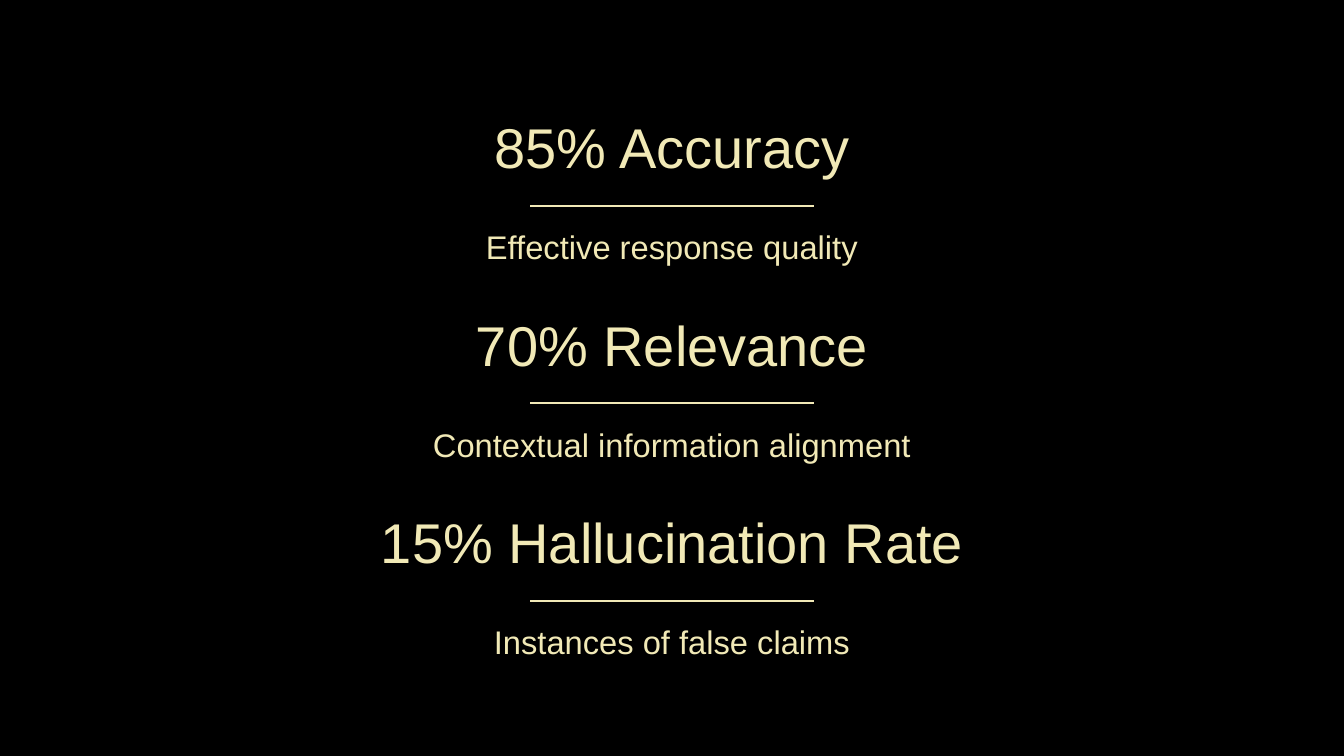
"""Build a slide of three evaluation metrics, each with a rule and a caption."""
from lxml import etree
from pptx import Presentation
from pptx.dml.color import RGBColor
from pptx.enum.shapes import MSO_CONNECTOR
from pptx.enum.text import MSO_AUTO_SIZE, PP_ALIGN
from pptx.oxml.ns import qn
from pptx.util import Inches, Pt

METRICS = [
    ("85% Accuracy", "Effective response quality"),
    ("70% Relevance", "Contextual information alignment"),
    ("15% Hallucination Rate", "Instances of false claims"),
]

BLACK = RGBColor(0x00, 0x00, 0x00)
CREAM = RGBColor(0xF1, 0xE9, 0xB6)
FONT = "Arial"
STRAIGHT = MSO_CONNECTOR.STRAIGHT
CENTER = PP_ALIGN.CENTER
GROW = MSO_AUTO_SIZE.SHAPE_TO_FIT_TEXT

SLIDE_W, SLIDE_H = 20, 11.25
TEXT_W, RULE_W = 12.25, 4.22
TOP, PITCH = 1.76, 2.94
RULE_DY, CAPTION_DY = 1.3, 1.62


def add_text(shapes, text, top, height, size, spacing):
    left = (SLIDE_W - TEXT_W) / 2
    sp = shapes.add_textbox(Inches(left), Inches(top), Inches(TEXT_W), Inches(height))
    tf = sp.text_frame
    tf.word_wrap = True
    tf.auto_size = GROW
    tf.margin_left = tf.margin_right = tf.margin_top = tf.margin_bottom = 0
    p = tf.paragraphs[0]
    p.alignment = CENTER
    p.line_spacing = Pt(spacing)
    r = p.add_run()
    r.text = text
    r.font.name = FONT
    r.font.size = Pt(size)
    r.font.color.rgb = CREAM


def add_rule(shapes, y):
    left, right = (SLIDE_W - RULE_W) / 2, (SLIDE_W + RULE_W) / 2
    rule = shapes.add_connector(STRAIGHT, Inches(right), Inches(y), Inches(left), Inches(y))
    rule.line.color.rgb = CREAM
    rule.line.width = Pt(2)
    etree.SubElement(rule._element.spPr, qn("a:effectLst"))


def main():
    prs = Presentation()
    prs.slide_width, prs.slide_height = Inches(SLIDE_W), Inches(SLIDE_H)
    s = prs.slides.add_slide(prs.slide_layouts[6])
    s.background.fill.solid()
    s.background.fill.fore_color.rgb = BLACK
    for i, (headline, caption) in enumerate(METRICS):
        top = TOP + i * PITCH
        shapes = s.shapes.add_group_shape().shapes
        add_rule(shapes, top + RULE_DY)
        add_text(shapes, headline, top, 0.95, 60, 66)
        add_text(shapes, caption, top + CAPTION_DY, 0.59, 35, 42)
    prs.save("out.pptx")


if __name__ == "__main__":
    main()
